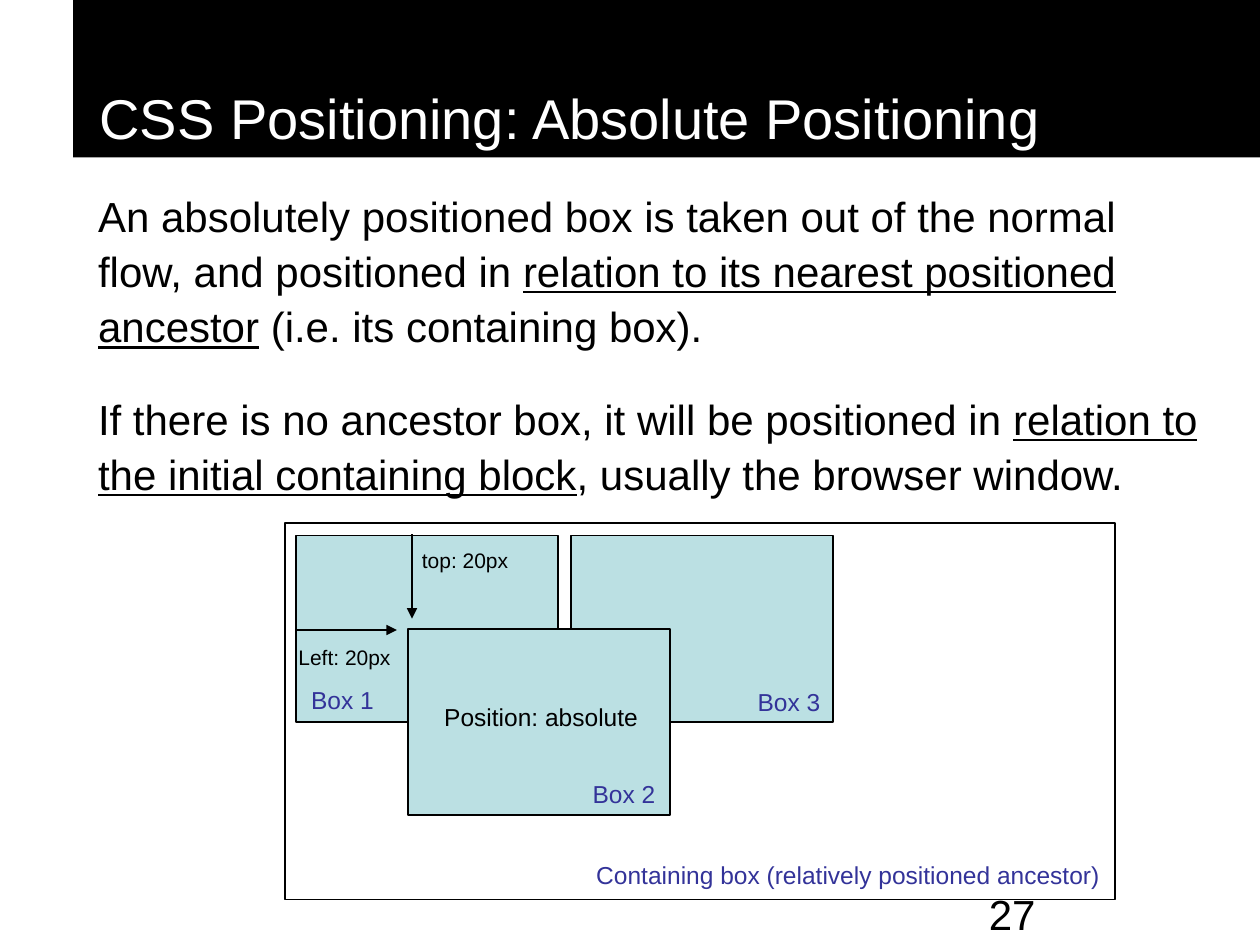
import dataclasses
import typing

import pptx
import pptx.dml.color
import pptx.enum.dml
import pptx.enum.shapes
import pptx.enum.text
import pptx.oxml.ns
import pptx.slide
import pptx.text.text
import pptx.util
from lxml import etree

ALIGN = pptx.enum.text.PP_ALIGN
COLUMNS, ROWS = 100, 75
BLACK, WHITE, BLUE, PALE = "000000", "FFFFFF", "333399", "BBE0E3"
BOX_WIDTH, BOX_HEIGHT = 20.8, 14.8

prs = pptx.Presentation()
prs.slide_width = pptx.util.Inches(10)
prs.slide_height = pptx.util.Inches(7.5)


@dataclasses.dataclass
class Area:
    col: float
    row: float
    cols: float
    rows: float


@dataclasses.dataclass
class Box:
    area: Area
    fill: typing.Optional[str] = PALE


@dataclasses.dataclass
class Label:
    text: str
    area: Area
    size: float = 14
    color: str = BLUE
    align: ALIGN = ALIGN.LEFT


@dataclasses.dataclass
class Arrow:
    start: tuple[float, float]
    end: tuple[float, float]


def x(cols: float) -> int:
    return round(prs.slide_width * cols / COLUMNS)


def y(rows: float) -> int:
    return round(prs.slide_height * rows / ROWS)


def place(area: Area) -> tuple[int, int, int, int]:
    return x(area.col), y(area.row), x(area.cols), y(area.rows)


def paint(target: typing.Any, color: str) -> None:
    target.solid()
    target.fore_color.rgb = pptx.dml.color.RGBColor.from_string(color)


def style(p: pptx.text.text._Paragraph, size: float, color: str, align: ALIGN = ALIGN.LEFT) -> None:
    p.alignment = align
    p.font.name = "Arial"
    p.font.size = pptx.util.Pt(size)
    paint(p.font.fill, color)


def indent(p: pptx.text.text._Paragraph, cols: float) -> None:
    pPr = p._p.get_or_add_pPr()
    pPr.set("marL", str(x(cols)))
    pPr.set("indent", "0")


def draw_title(s: pptx.slide.Slide, text: str, area: Area) -> None:
    sp = s.shapes.title
    sp.left, sp.top, sp.width, sp.height = place(area)
    paint(sp.fill, BLACK)
    tf = sp.text_frame
    tf.text = text
    tf.word_wrap = True
    tf.auto_size = pptx.enum.text.MSO_AUTO_SIZE.NONE
    tf.vertical_anchor = pptx.enum.text.MSO_ANCHOR.BOTTOM
    indent(tf.paragraphs[0], 1.1)
    style(tf.paragraphs[0], 32, WHITE)


def draw_body(s: pptx.slide.Slide, paragraphs: list[tuple[str, str, str]], area: Area) -> None:
    tf = s.shapes.add_textbox(*place(area)).text_frame
    tf.word_wrap = True
    for i, (before, underlined, after) in enumerate(paragraphs):
        p = tf.add_paragraph() if i else tf.paragraphs[0]
        indent(p, 1)
        p.line_spacing = 1.1
        p.space_before = pptx.util.Pt(15 if i else 0)
        p.space_after = pptx.util.Pt(6)
        style(p, 24, BLACK)
        p.add_run().text = before
        r = p.add_run()
        r.text = underlined
        r.font.underline = True
        p.add_run().text = after


def draw_box(s: pptx.slide.Slide, box: Box) -> None:
    sp = s.shapes.add_shape(pptx.enum.shapes.MSO_SHAPE.RECTANGLE, *place(box.area))
    sp.shadow.inherit = False
    if box.fill:
        paint(sp.fill, box.fill)
    else:
        sp.fill.background()
    paint(sp.line.fill, BLACK)
    sp.line.width = pptx.util.Pt(1)


def draw_label(s: pptx.slide.Slide, label: Label) -> None:
    tf = s.shapes.add_textbox(*place(label.area)).text_frame
    tf.word_wrap = True
    p = tf.paragraphs[0]
    p.text = label.text
    style(p, label.size, label.color, label.align)


def draw_arrow(s: pptx.slide.Slide, arrow: Arrow) -> None:
    (col1, row1), (col2, row2) = arrow.start, arrow.end
    line = s.shapes.add_connector(
        pptx.enum.shapes.MSO_CONNECTOR.STRAIGHT, x(col1), y(row1), x(col2), y(row2))
    paint(line.line.fill, BLACK)
    line.line.width = pptx.util.Pt(0.75)
    ln = line.line._get_or_add_ln()
    etree.SubElement(ln, pptx.oxml.ns.qn("a:tailEnd"), type="triangle")
    etree.SubElement(line._element.spPr, pptx.oxml.ns.qn("a:effectLst"))


DRAW = {Box: draw_box, Label: draw_label, Arrow: draw_arrow}

BODY = [
    ("An absolutely positioned box is taken out of the normal flow, and positioned in ",
     "relation to its nearest positioned ancestor",
     " (i.e. its containing box)."),
    ("If there is no ancestor box, it will be positioned in ",
     "relation to the initial containing block",
     ", usually the browser window."),
]

DIAGRAM = [
    Box(Area(23.5, 42.5, BOX_WIDTH, BOX_HEIGHT)),
    Label("Left: 20px", Area(22.7, 50.7, 11.1, 3), 12, BLACK),
    Box(Area(45.3, 42.5, BOX_WIDTH, BOX_HEIGHT)),
    Box(Area(22.6, 41.5, 65.9, 29.9), None),
    Label("top: 20px", Area(32.5, 43, 11.1, 3), 12, BLACK),
    Box(Area(32.4, 49.9, BOX_WIDTH, BOX_HEIGHT)),
    Label("Position: absolute", Area(32.7, 55.2, 20.5, 3.4), color=BLACK, align=ALIGN.CENTER),
    Label("Box 1", Area(23.7, 53.9, 20.5, 3.4)),
    Label("Box 2", Area(32.5, 61.3, 20.5, 3.4), align=ALIGN.RIGHT),
    Label("Box 3", Area(45.6, 54, 20.5, 3.4), align=ALIGN.RIGHT),
    Label("Containing box (relatively positioned ancestor)",
          Area(22.7, 67.8, 65.6, 3.4), align=ALIGN.RIGHT),
    Arrow((32.7, 42.4), (32.7, 49.1)),
    Arrow((23.4, 50), (31.5, 50)),
    Label("27", Area(77.5, 70, 20.8, 5), 24, BLACK),
]


def main() -> None:
    s = prs.slides.add_slide(prs.slide_layouts.get_by_name("Title Only"))
    draw_title(s, "CSS Positioning: Absolute Positioning", Area(5.8, 0, 94.2, 12.5))
    draw_body(s, BODY, Area(5.8, 14.2, 90.8, 33.8))
    for item in DIAGRAM:
        DRAW[type(item)](s, item)
    prs.save("out.pptx")


if __name__ == "__main__":
    main()
